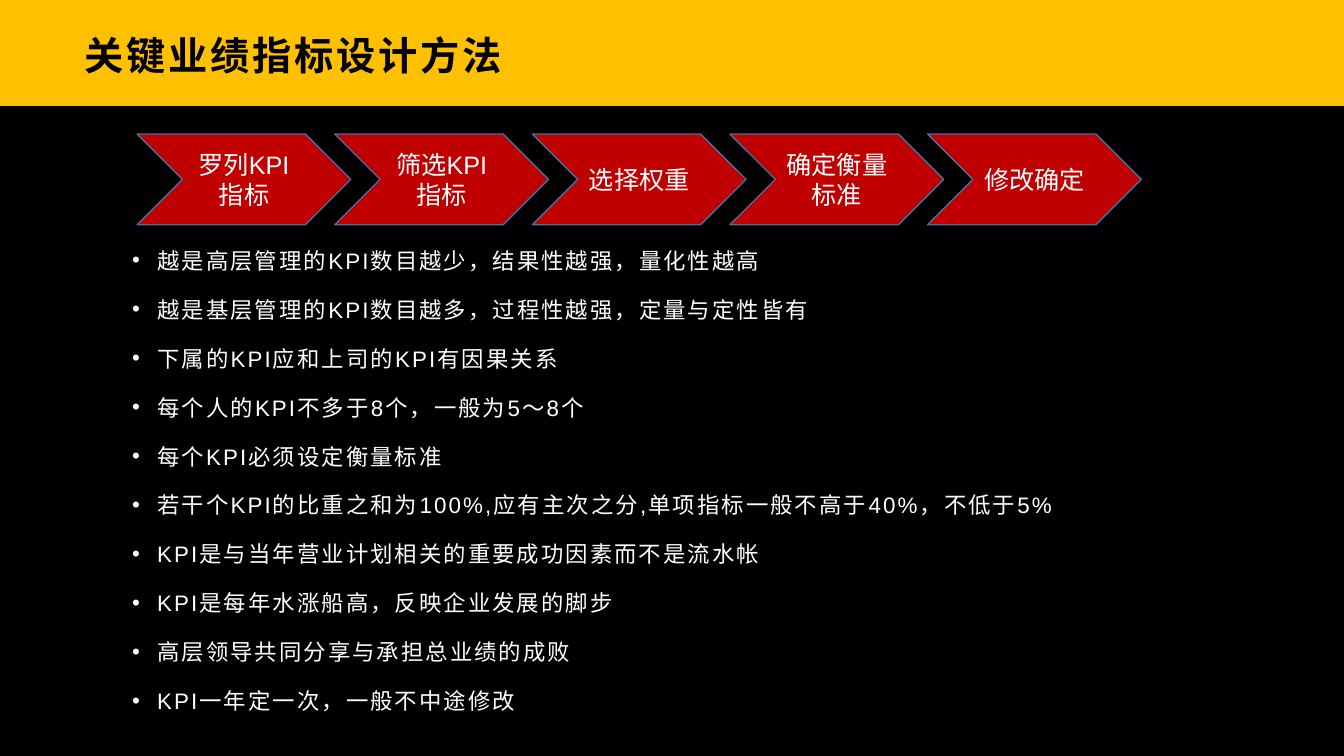
from dataclasses import dataclass

from lxml.etree import SubElement
from pptx import Presentation
from pptx.dml.color import RGBColor as Color
from pptx.enum.shapes import MSO_SHAPE as Shape
from pptx.enum.text import MSO_ANCHOR as Anchor, PP_ALIGN as Align
from pptx.oxml.ns import qn
from pptx.util import Inches, Pt


@dataclass(frozen=True)
class Theme:
    font: str = "Arial"
    black: Color = Color(0, 0, 0)
    white: Color = Color(255, 255, 255)
    gold: Color = Color(0xFF, 0xC0, 0x00)
    red: Color = Color(0xC0, 0x00, 0x00)
    outline: Color = Color(0x43, 0x73, 0x9E)
    title_size: Pt = Pt(28)
    step_size: Pt = Pt(18)
    point_size: Pt = Pt(16)


theme = Theme()

STEPS = ["罗列KPI指标", "筛选KPI指标", "选择权重", "确定衡量标准", "修改确定"]
POINTS = [
    "越是高层管理的KPI数目越少，结果性越强，量化性越高",
    "越是基层管理的KPI数目越多，过程性越强，定量与定性皆有",
    "下属的KPI应和上司的KPI有因果关系",
    "每个人的KPI不多于8个，一般为5〜8个",
    "每个KPI必须设定衡量标准",
    "若干个KPI的比重之和为100%,应有主次之分,单项指标一般不高于40%，不低于5%",
    "KPI是与当年营业计划相关的重要成功因素而不是流水帐",
    "KPI是每年水涨船高，反映企业发展的脚步",
    "高层领导共同分享与承担总业绩的成败",
    "KPI一年定一次，一般不中途修改",
]


def style_text(para, size, color, bold=False, spacing=0):
    """Format every run; spacing is in hundredths of a point."""
    for span in para.runs:
        span.font.name = theme.font
        span.font.size = size
        span.font.bold = bold
        span.font.color.rgb = color
        span.font._element.set("spc", str(spacing))


def add_text_box(left, top, width, height, text, side_inset):
    box = page.shapes.add_textbox(Inches(left), Inches(top), Inches(width), Inches(height))
    frame = box.text_frame
    frame.word_wrap = True
    frame.margin_left = Inches(0.11)
    frame.margin_right = Inches(side_inset)
    frame.margin_top = frame.margin_bottom = 0
    frame.text = text
    return frame


deck = Presentation()
deck.slide_width, deck.slide_height = Inches(13.33), Inches(7.5)
page = deck.slides.add_slide(deck.slide_layouts[6])

# Black background with a gold title band
page.background.fill.solid()
page.background.fill.fore_color.rgb = theme.black
band = page.shapes.add_shape(Shape.RECTANGLE, 0, 0, deck.slide_width, Inches(1.05))
band.shadow.inherit = False
band.fill.solid()
band.fill.fore_color.rgb = theme.gold
band.line.fill.background()

# Title
title = add_text_box(0.73, 0.19, 11.87, 0.71, "关键业绩指标设计方法", 0.08)
title.vertical_anchor = Anchor.MIDDLE
style_text(title.paragraphs[0], theme.title_size, theme.black, bold=True, spacing=200)

# Bulleted points
points = add_text_box(1.2, 2.37, 11.4, 4.9, "\n".join(POINTS), 0.09)
for para in points.paragraphs:
    para.line_spacing = 1.3
    para.space_after = Pt(10)
    style_text(para, theme.point_size, theme.white, spacing=150)
    properties = para._p.get_or_add_pPr()
    properties.set("marL", str(Inches(0.25)))
    properties.set("indent", str(Inches(-0.25)))
    SubElement(properties, qn("a:buFont")).set("typeface", theme.font)
    SubElement(properties, qn("a:buChar")).set("char", "•")

# Chevron process
for index, step in enumerate(STEPS):
    chevron = page.shapes.add_shape(
        Shape.CHEVRON, Inches(1.36 + 1.96 * index), Inches(1.33), Inches(2.12), Inches(0.9))
    chevron.shadow.inherit = False
    chevron.fill.solid()
    chevron.fill.fore_color.rgb = theme.red
    chevron.line.color.rgb = theme.outline
    chevron.line.width = Pt(1)
    frame = chevron.text_frame
    frame.word_wrap = True
    frame.vertical_anchor = Anchor.MIDDLE
    frame.text = step
    frame.paragraphs[0].alignment = Align.CENTER
    style_text(frame.paragraphs[0], theme.step_size, theme.white)

deck.save("out.pptx")
